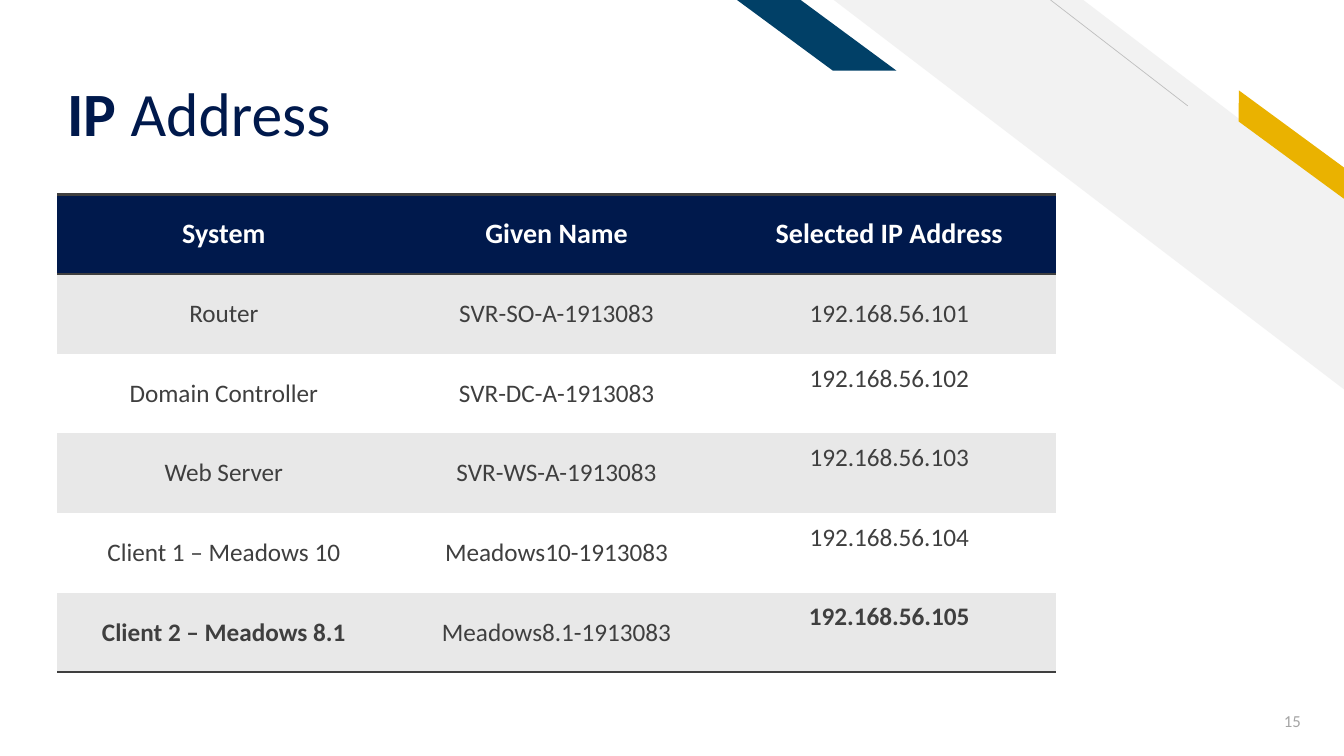
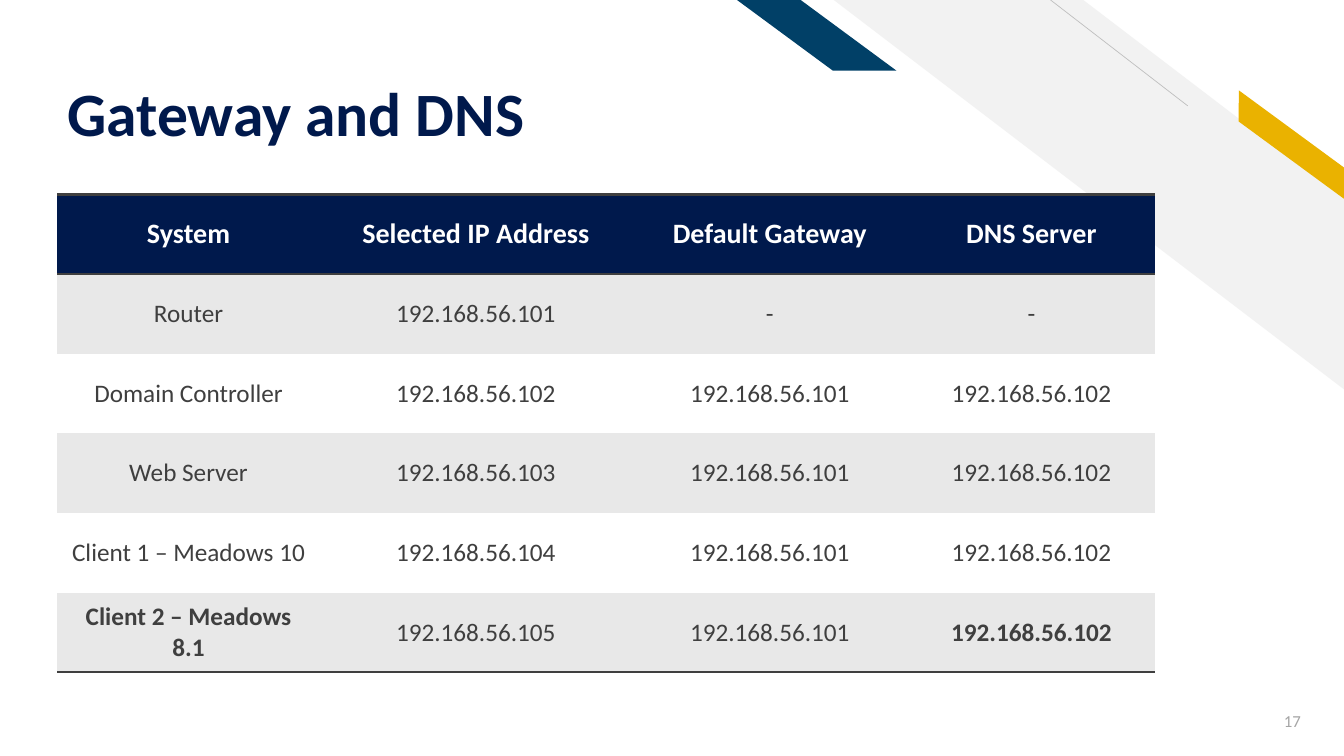
import pptx
import pptx.dml.color
import pptx.enum.shapes
import pptx.enum.text
import pptx.oxml
import pptx.oxml.ns
import pptx.util

Inches, Pt = pptx.util.Inches, pptx.util.Pt
SHAPE = pptx.enum.shapes.MSO_SHAPE
ALIGN = pptx.enum.text.PP_ALIGN
ANCHOR = pptx.enum.text.MSO_ANCHOR

COLORS = {
    "navy": "00194C",
    "blue": "014067",
    "gold": "EAB200",
    "stripe": "F2F2F2",
    "hairline": "BFBFBF",
    "band": "E8E8E8",
    "white": "FFFFFF",
    "ink": "3F3F3F",
    "number": "A5A5A5",
}
FONT = "Calibri"
NO_GRID_STYLE = "{2D5ABB26-0587-4C30-8999-92F81FD0307C}"
ROW_HEIGHT = 0.79
CELL_INSETS = (0.13, 0.05, 0.13, 0.05)
RAISED_INSETS = (0.13, 0.05, 0.13, 0.35)

# Title runs are (text, bold); raised cells are (row, column).
SLIDES = [
    {
        "title": [("IP ", True), ("Address", False)],
        "number": "15",
        "columns": [3.3, 3.3, 3.3],
        "rows": [
            ("System", "Given Name", "Selected IP Address"),
            ("Router", "SVR-SO-A-1913083", "192.168.56.101"),
            ("Domain Controller", "SVR-DC-A-1913083", "192.168.56.102"),
            ("Web Server", "SVR-WS-A-1913083", "192.168.56.103"),
            ("Client 1 – Meadows 10", "Meadows10-1913083", "192.168.56.104"),
            ("Client 2 – Meadows 8.1", "Meadows8.1-1913083", "192.168.56.105"),
        ],
        "raised": [(row, 2) for row in range(2, 6)],
    },
    {
        "title": [("Gateway and DNS", True)],
        "number": "17",
        "columns": [2.6, 3.1, 2.73, 2.46],
        "rows": [
            ("System", "Selected IP Address", "Default Gateway", "DNS Server"),
            ("Router", "192.168.56.101", "-", "-"),
            ("Domain Controller", "192.168.56.102", "192.168.56.101", "192.168.56.102"),
            ("Web Server", "192.168.56.103", "192.168.56.101", "192.168.56.102"),
            ("Client 1 – Meadows 10", "192.168.56.104", "192.168.56.101", "192.168.56.102"),
            ("Client 2 – Meadows 8.1", "192.168.56.105", "192.168.56.101", "192.168.56.102"),
        ],
        "raised": [],
    },
]


def rgb(name):
    return pptx.dml.color.RGBColor.from_string(COLORS[name])


def write(frame, runs, *, size, color, align=ALIGN.LEFT, spacing=None):
    """Fill the first paragraph of a text frame with (text, bold) runs."""
    para = frame.paragraphs[0]
    para.alignment = align
    if spacing:
        para.line_spacing = spacing
    for text, bold in runs:
        span = para.add_run()
        span.text = text
        span.font.name = FONT
        span.font.size = Pt(size)
        span.font.bold = bold
        span.font.color.rgb = rgb(color)


def add_text(page, place, runs, *, anchor, bottom=0.05, **text_format):
    box = page.shapes.add_textbox(*map(Inches, place))
    frame = box.text_frame
    frame.word_wrap = True
    frame.vertical_anchor = anchor
    frame.margin_bottom = Inches(bottom)
    write(frame, runs, **text_format)


def add_stripe(page, kind, place, color, adjustment, rotation=0):
    """Add a plain diagonal shape mirrored left to right."""
    shape = page.shapes.add_shape(kind, *map(Inches, place))
    shape.adjustments[0] = adjustment
    shape.rotation = rotation
    shape._element.spPr.find(pptx.oxml.ns.qn("a:xfrm")).set("flipH", "1")
    shape.shadow.inherit = False
    shape.fill.solid()
    shape.fill.fore_color.rgb = rgb(color)
    shape.line.fill.background()


def add_decoration(page):
    add_stripe(page, SHAPE.DIAGONAL_STRIPE, (8.27, 0, 5.07, 3.87), "stripe", 0.512)
    hairline = page.shapes.add_connector(
        pptx.enum.shapes.MSO_CONNECTOR.STRAIGHT,
        *map(Inches, (11.78, 1.05, 10.42, 0)))
    hairline.line.color.rgb = rgb("hairline")
    hairline.line.width = Pt(0.5)
    hairline._element.spPr.append(pptx.oxml.parse_xml(
        f'<a:effectLst {pptx.oxml.ns.nsdecls("a")}/>'))
    add_stripe(page, SHAPE.PARALLELOGRAM, (12.07, 1.31, 1.48, 0.25), "gold", 0.72, 36.3)
    add_stripe(page, SHAPE.PARALLELOGRAM, (7.31, 0, 1.58, 0.7), "blue", 1.356)


def add_border(cell, side):
    """Draw one edge of a cell; side is T or B."""
    cell._tc.get_or_add_tcPr().append(pptx.oxml.parse_xml(
        f'<a:ln{side} {pptx.oxml.ns.nsdecls("a")} w="{Pt(2)}"><a:solidFill>'
        f'<a:srgbClr val="{COLORS["ink"]}"/></a:solidFill></a:ln{side}>'))


def add_address_table(page, columns, rows, raised):
    last_row, last_column = len(rows) - 1, len(columns) - 1
    place = (0.57, 1.93, sum(columns), ROW_HEIGHT * len(rows))
    table = page.shapes.add_table(
        len(rows), len(columns), *map(Inches, place)).table
    table._tbl.tblPr.find(pptx.oxml.ns.qn("a:tableStyleId")).text = NO_GRID_STYLE
    for column, width in zip(table.columns, columns):
        column.width = Inches(width)
    for r, texts in enumerate(rows):
        table.rows[r].height = Inches(ROW_HEIGHT)
        header = r == 0
        fill = "navy" if header else "band" if r % 2 else "white"
        for c, text in enumerate(texts):
            cell = table.cell(r, c)
            insets = RAISED_INSETS if (r, c) in raised else CELL_INSETS
            (cell.margin_left, cell.margin_top,
             cell.margin_right, cell.margin_bottom) = map(Inches, insets)
            cell.vertical_anchor = ANCHOR.MIDDLE
            if header:
                add_border(cell, "T")
            if r in (0, last_row):
                add_border(cell, "B")
            cell.fill.solid()
            cell.fill.fore_color.rgb = rgb(fill)
            bold = header or (r == last_row and c in (0, last_column))
            write(cell.text_frame, [(text, bold)], size=20 if header else 18,
                  color="white" if header else "ink", align=ALIGN.CENTER)


def main():
    deck = pptx.Presentation()
    deck.slide_width, deck.slide_height = Inches(13.33), Inches(7.5)
    for content in SLIDES:
        page = deck.slides.add_slide(deck.slide_layouts[6])
        add_decoration(page)
        add_address_table(page, content["columns"], content["rows"], content["raised"])
        add_text(page, (12.19, 6.95, 0.81, 0.4), [(content["number"], False)],
                 anchor=ANCHOR.MIDDLE, size=12, color="number", align=ALIGN.RIGHT)
        add_text(page, (0.57, 0.23, 9.11, 1.26), content["title"],
                 anchor=ANCHOR.BOTTOM, bottom=0, size=44, color="navy", spacing=0.9)
    deck.save("out.pptx")


if __name__ == "__main__":
    main()
